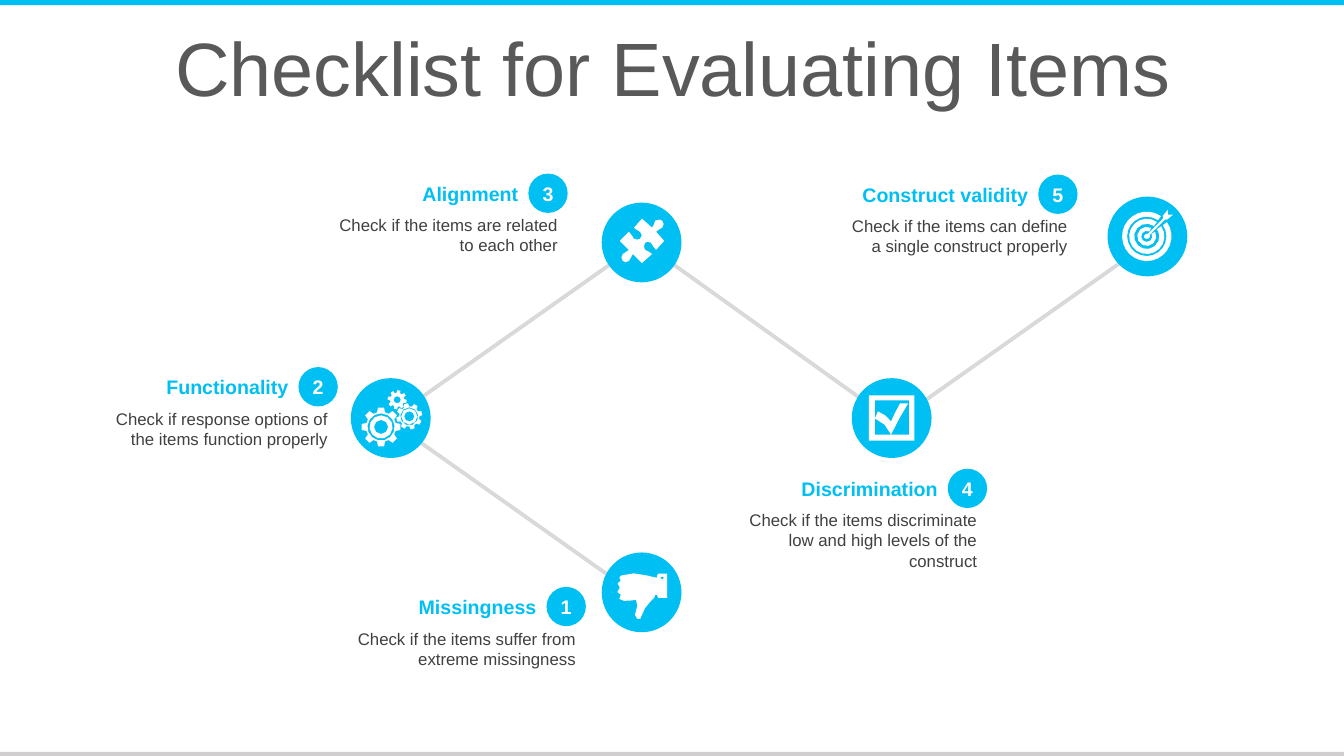
from math import cos, radians, sin

from pptx import Presentation
from pptx.dml.color import RGBColor
from pptx.enum.shapes import MSO_SHAPE
from pptx.enum.text import MSO_ANCHOR, MSO_AUTO_SIZE, PP_ALIGN
from pptx.util import Pt

RECTANGLE, OVAL = MSO_SHAPE.RECTANGLE, MSO_SHAPE.OVAL
CENTER, RIGHT = PP_ALIGN.CENTER, PP_ALIGN.RIGHT
TOP, MIDDLE = MSO_ANCHOR.TOP, MSO_ANCHOR.MIDDLE
GROW = MSO_AUTO_SIZE.SHAPE_TO_FIT_TEXT

COLORS = {
    "accent": "00BFF3",
    "footer": "D0CECE",
    "title": "595959",
    "body": "404040",
    "path": "D9D9D9",
    "white": "FFFFFF",
}
FONT = "Arial"
WIDTH, HEIGHT = 960, 540
NODE = 57
BADGE = 28.1
ICON_UNIT = 0.72  # icon outlines are given on a grid of 79 units per node

PUZZLE = """M 60 18 C 62 20 62 23 60 25 C 58 27 56 26 54 29 L 62 38 L 54 47
C 50 45 52 42 49 40 C 47 38 44 39 43 40 C 42 42 41 45 43 47 C 46 49 47 48 50 51
L 40 60 L 31 51 C 28 54 30 55 27 58 C 25 60 22 59 21 58 C 19 56 19 53 21 51
C 22 49 25 50 27 47 L 18 38 L 27 29 C 31 31 29 34 32 36 C 34 37 37 37 38 36
C 40 34 41 31 38 29 C 35 26 34 28 32 25 L 40 16 L 50 25 C 53 22 51 21 53 18
C 56 16 59 17 60 18"""
ARROW = """M 60 13 L 60 18 L 65 18 L 59 23 L 57 23 L 42 38 L 42 40
C 42 41 41 42 39 42 C 38 42 36 41 36 40 C 36 38 38 37 39 37 L 40 37 L 55 22 L 55 19"""
CHECKBOX = """M 17 17 L 62 17 L 62 62 L 17 62
M 23 22 L 23 56 L 39 56 C 35 50 31 41 23 40 L 26 33 C 33 36 35 38 39 43
C 42 36 44 32 48 25 L 56 25 C 50 34 44 46 39 56 L 57 56 L 57 22"""
THUMB = """M 60 27 L 62 25 L 60 24 L 58 25
M 37 66 C 36 67 34 65 33 62 C 31 56 41 48 34 47 C 29 48 27 48 22 48
C 17 48 16 45 19 42 C 16 42 13 37 18 35 C 14 32 16 29 19 28 C 17 26 17 24 19 23
C 25 21 38 19 46 23 C 50 24 52 25 55 25 L 55 23 L 56 21 L 65 21
L 65 45 L 56 45 L 55 43 L 55 42 L 53 42
C 53 44 52 46 49 48 C 46 53 40 56 39 64 C 39 66 38 66 37 66"""


def outline(commands, steps=2):
    """Turn move, line and cubic curve commands into lists of points."""
    contours = []
    tokens = iter(commands.split())
    for command in tokens:
        count = 3 if command == "C" else 1
        points = [(float(next(tokens)), float(next(tokens))) for _ in range(count)]
        if command == "M":
            contours.append(points)
        elif command == "L":
            contours[-1] += points
        else:
            controls = [contours[-1][-1], *points]
            for step in range(1, steps + 1):
                t = step / steps
                weights = ((1 - t) ** 3, 3 * t * (1 - t) ** 2, 3 * t * t * (1 - t), t ** 3)
                contours[-1].append(tuple(
                    sum(w * point[axis] for w, point in zip(weights, controls))
                    for axis in (0, 1)))
    return contours


def polar(center, radius, degrees):
    """Point at an angle measured clockwise from the top."""
    angle = radians(degrees)
    return center[0] + radius * sin(angle), center[1] - radius * cos(angle)


def arc(center, radius, start=0, end=360):
    steps = max(8, int(radius))
    return [polar(center, radius, start + (end - start) * step / steps)
            for step in range(steps + 1)]


def gear(center, tip, root, holes, turn, teeth=8):
    rim = [polar(center, radius, turn + 360 * tooth / teeth + offset)
           for tooth in range(teeth)
           for radius, offset in ((root, -15), (tip, -9), (tip, 9), (root, 15))]
    return [rim] + [arc(center, hole) for hole in holes]


def gears():
    return (gear((30, 48.5), 19.5, 15, (13.5, 11.5, 7), 0)
            + gear((58, 38), 13, 10, (9, 8, 5), -15)
            + gear((46, 21.5), 9.5, 7, (3.5,), 10))


def target():
    """Three rings, each cut open where the arrow enters from the upper right."""
    center = (39, 39.5)
    rings = []
    for outer, inner, half_gap in ((24.5, 19.5, 10), (17.5, 12.5, 10), (9.5, 5.5, 17)):
        start, end = 45 + half_gap, 405 - half_gap
        rings.append(arc(center, outer, start, end) + arc(center, inner, end, start))
    return rings + outline(ARROW)


# number, heading, description, badge corner, text width, node corner, icon
STEPS = [
    ("1", "Missingness", "Check if the items suffer from extreme missingness",
     (390.4, 419.2), 186, (429.8, 394.6), outline(THUMB)),
    ("2", "Functionality", "Check if response options of the items function properly",
     (213.2, 262.2), 183, (250.6, 270.1), gears()),
    ("3", "Alignment", "Check if the items are related to each other",
     (377.4, 124), 176, (429.8, 144.7), outline(PUZZLE)),
    ("4", "Discrimination",
     "Check if the items discriminate low and high levels of the construct",
     (677, 334.8), 183, (608.4, 270.1), outline(CHECKBOX)),
    ("5", "Construct validity", "Check if the items can define a single construct properly",
     (741.6, 124.7), 177, (791.1, 140.4), target()),
]
PATH = [(459.4, 428.4), (277.9, 300.2), (458.6, 172.8), (638.6, 301.7), (819.4, 174.2)]


def rgb(name):
    return RGBColor.from_string(COLORS[name])


def add_filled(slide, kind, x, y, width, height, color):
    shape = slide.shapes.add_shape(kind, Pt(x), Pt(y), Pt(width), Pt(height))
    shape.shadow.inherit = False
    shape.fill.solid()
    shape.fill.fore_color.rgb = rgb(color)
    shape.line.fill.background()
    return shape


def write(shape, text, size, color, alignment, anchor, bold=False):
    frame = shape.text_frame
    frame.word_wrap = True
    frame.vertical_anchor = anchor
    paragraph = frame.paragraphs[0]
    paragraph.alignment = alignment
    run = paragraph.add_run()
    run.text = text
    run.font.name = FONT
    run.font.size = Pt(size)
    run.font.bold = bold
    run.font.color.rgb = rgb(color)
    return paragraph


def add_freeform(slide, contours, close):
    """Build one shape from contours given in points."""
    contours = [[(Pt(x), Pt(y)) for x, y in contour] for contour in contours]
    builder = slide.shapes.build_freeform(*contours[0][0], scale=1.0)
    for index, contour in enumerate(contours):
        if index:
            builder.move_to(*contour[0])
        builder.add_line_segments(contour[1:], close=close)
    shape = builder.convert_to_shape()
    shape.shadow.inherit = False
    return shape


def add_frame(slide):
    """Top and bottom bars with the title."""
    add_filled(slide, RECTANGLE, 0, 0, WIDTH, 3.6, "accent")
    add_filled(slide, RECTANGLE, 0, HEIGHT - 3, WIDTH, 3, "footer")
    title = slide.shapes.add_textbox(Pt(25), Pt(23), Pt(911.5), Pt(57))
    paragraph = write(title, "Checklist for Evaluating Items", 54, "title", CENTER, MIDDLE)
    paragraph.line_spacing = 0.9


def add_path(slide):
    shape = add_freeform(slide, [PATH], close=False)
    shape.fill.background()
    shape.line.color.rgb = rgb("path")
    shape.line.width = Pt(2.75)


def add_node(slide, x, y, icon):
    add_filled(slide, OVAL, x, y, NODE, NODE, "accent")
    contours = [[(x + ICON_UNIT * px, y + ICON_UNIT * py) for px, py in contour]
                for contour in icon]
    shape = add_freeform(slide, contours, close=True)
    shape.fill.solid()
    shape.fill.fore_color.rgb = rgb("white")
    shape.line.fill.background()


def add_label(slide, x, y, width, number, heading, description):
    """Badge at x, y; heading to its left and description below, both right-aligned."""
    left = x + BADGE - width
    heading_box = slide.shapes.add_textbox(Pt(left), Pt(y + 2), Pt(width - BADGE), Pt(24.2))
    write(heading_box, heading, 14, "accent", RIGHT, MIDDLE, bold=True)
    description_box = slide.shapes.add_textbox(Pt(left), Pt(y + 26), Pt(width), Pt(36))
    write(description_box, description, 12, "body", RIGHT, TOP)
    for box in (heading_box, description_box):
        box.text_frame.auto_size = GROW
    badge = add_filled(slide, OVAL, x, y, BADGE, BADGE, "accent")
    frame = badge.text_frame
    frame.margin_left = frame.margin_right = frame.margin_top = frame.margin_bottom = 0
    write(badge, number, 14, "white", CENTER, MIDDLE, bold=True)


def main():
    presentation = Presentation()
    presentation.slide_width, presentation.slide_height = Pt(WIDTH), Pt(HEIGHT)
    slide = presentation.slides.add_slide(presentation.slide_layouts[6])
    add_frame(slide)
    add_path(slide)
    for number, heading, description, badge, width, node, icon in STEPS:
        add_node(slide, *node, icon)
        add_label(slide, *badge, width, number, heading, description)
    presentation.save("out.pptx")


if __name__ == "__main__":
    main()
